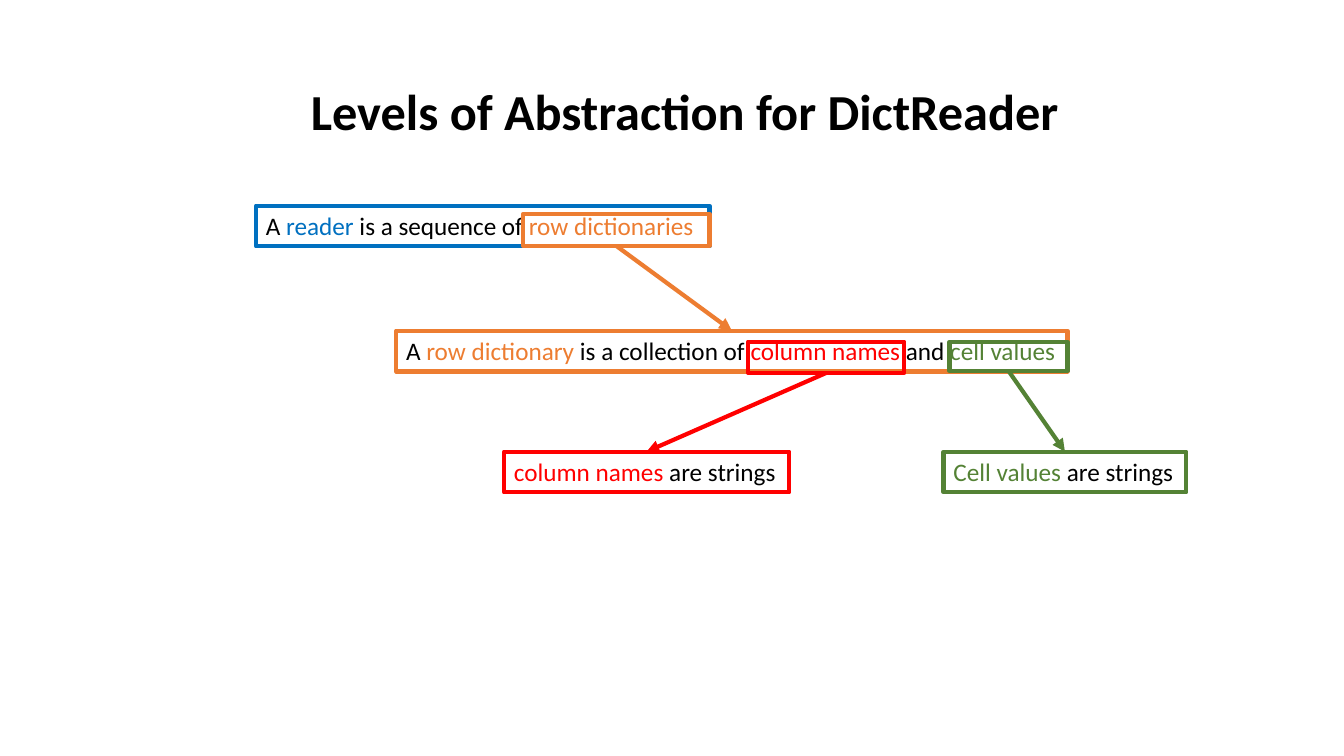
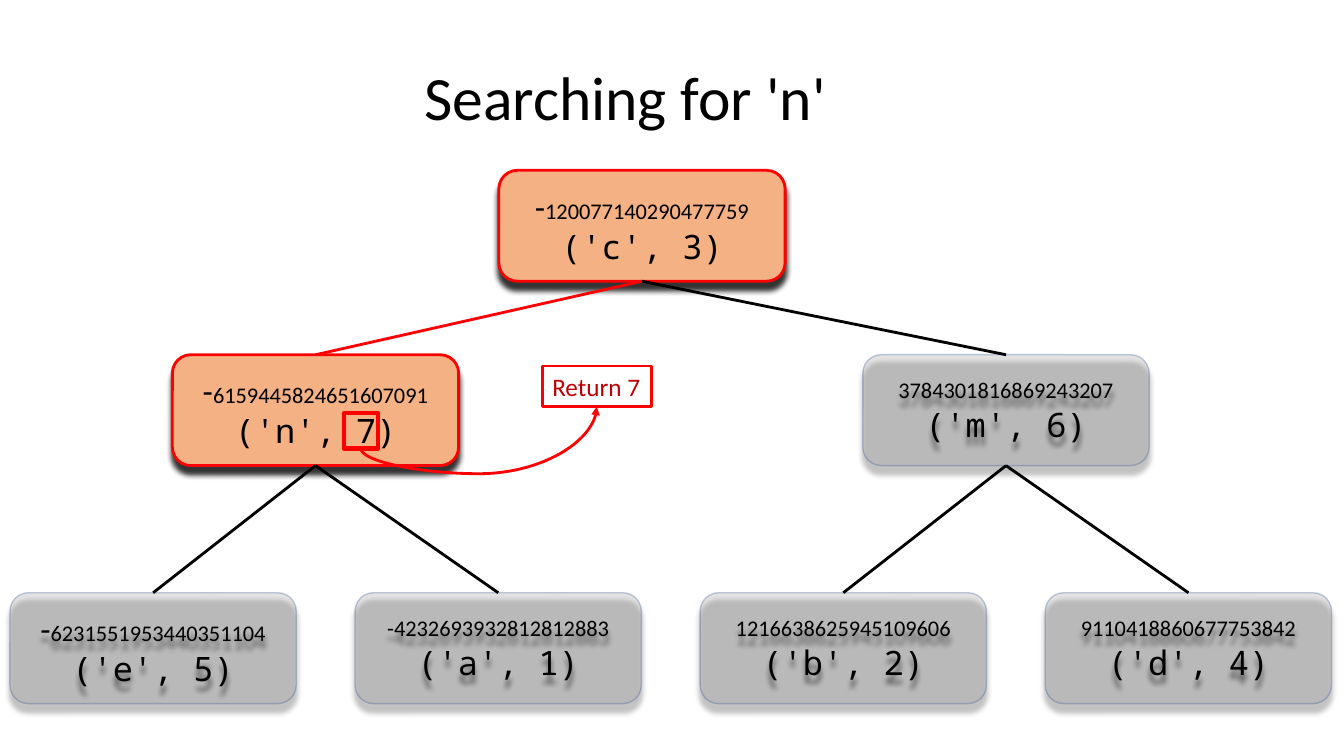
from lxml import etree
from pptx import Presentation
from pptx.dml.color import RGBColor
from pptx.enum.shapes import MSO_CONNECTOR, MSO_SHAPE
from pptx.enum.text import MSO_ANCHOR, MSO_AUTO_SIZE, PP_ALIGN
from pptx.oxml.ns import qn
from pptx.util import Pt

STRAIGHT, CURVE = MSO_CONNECTOR.STRAIGHT, MSO_CONNECTOR.CURVE
RECTANGLE, ROUNDED = MSO_SHAPE.RECTANGLE, MSO_SHAPE.ROUNDED_RECTANGLE
LEFT, CENTER = PP_ALIGN.LEFT, PP_ALIGN.CENTER
MIDDLE, GROW = MSO_ANCHOR.MIDDLE, MSO_AUTO_SIZE.SHAPE_TO_FIT_TEXT
TOP_SITE, BOTTOM_SITE = 0, 2

COLORS = {
    "black": "000000", "blue": "0070C0", "orange": "ED7D31",
    "red": "FF0000", "dark red": "C00000", "green": "548235",
    "peach": "F4B183", "gray": "A5A5A5", "navy": "325491",
}
BODY_FONT, CODE_FONT = "Calibri", "Noto Sans Mono"
LABEL_HEIGHT = 29.1
NODE_WIDTH, NODE_HEIGHT = 204.5, 79.2


def rgb(name):
    return RGBColor.from_string(COLORS[name])


def add_child(parent, tag, **attributes):
    child = etree.SubElement(parent, qn(tag))
    for name, value in attributes.items():
        child.set(name, str(value))
    return child


def add_run(paragraph, text, size=18, color="black", font=BODY_FONT, bold=False):
    run = paragraph.add_run()
    run.text = text
    run.font.size, run.font.name, run.font.bold = Pt(size), font, bold
    run.font.color.rgb = rgb(color)


def set_line(item, color, width):
    item.line.color.rgb = rgb(color)
    item.line.width = Pt(width)


def set_opacity(shape, percent):
    """Make the fill and outline of a shape translucent."""
    for color in shape._element.spPr.iter(qn("a:srgbClr")):
        add_child(color, "a:alpha", val=percent * 1000)


def add_label(slide, box, runs, align=LEFT, outline=None, width=3):
    """Single-line text; runs holds (text, format) pairs."""
    shape = slide.shapes.add_textbox(*map(Pt, box))
    frame = shape.text_frame
    frame.word_wrap, frame.auto_size = False, GROW
    frame.paragraphs[0].alignment = align
    for text, style in runs:
        add_run(frame.paragraphs[0], text, **style)
    if outline:
        set_line(shape, outline, width)
    return shape


def add_highlight(slide, owner, offset, size, color):
    """Frame around part of the text of its owner."""
    left, top = owner.left + Pt(offset[0]), owner.top + Pt(offset[1])
    shape = slide.shapes.add_shape(RECTANGLE, left, top, *map(Pt, size))
    shape.shadow.inherit = False
    shape.fill.background()
    set_line(shape, color, 3)
    return shape


def style_connector(connector, color, width, arrow):
    set_line(connector, color, width)
    if arrow:
        add_child(connector.line._get_or_add_ln(), "a:tailEnd", type="triangle")
    add_child(connector._element.spPr, "a:effectLst")


def join(slide, upper, lower, color, width, arrow=False):
    connector = slide.shapes.add_connector(STRAIGHT, 0, 0, 0, 0)
    connector.begin_connect(upper, BOTTOM_SITE)
    connector.end_connect(lower, TOP_SITE)
    style_connector(connector, color, width, arrow)


def add_swoop(slide, source, target, sag, color):
    """Curved arrow that dips below both bottom edges."""
    start_x, end_x = (s.left + s.width // 2 for s in (source, target))
    start_y, end_y = (s.top + s.height for s in (source, target))
    middle_x, middle_y = (start_x + end_x) // 2, (start_y + end_y) // 2
    rise, run = start_y - end_y, end_x - start_x
    connector = slide.shapes.add_connector(
        CURVE, middle_x + rise // 2, middle_y + run // 2,
        middle_x - rise // 2, middle_y - run // 2)
    properties = connector._element.spPr
    properties.find(qn("a:xfrm")).set("rot", str(90 * 60000))
    geometry = properties.find(qn("a:prstGeom"))
    guides = geometry.find(qn("a:avLst"))
    if guides is None:
        guides = add_child(geometry, "a:avLst")
    bend = round(-Pt(sag) / rise * 100000)
    add_child(guides, "a:gd", name="adj1", fmla=f"val {bend}")
    style_connector(connector, color, 2, True)


def add_node(slide, center_x, top, number, pair, visited=False, big_minus=False):
    """Tree node: hash value above its key and value."""
    shape = slide.shapes.add_shape(
        ROUNDED, Pt(center_x - NODE_WIDTH / 2), Pt(top),
        Pt(NODE_WIDTH), Pt(NODE_HEIGHT))
    shape.fill.solid()
    shape.fill.fore_color.rgb = rgb("peach" if visited else "gray")
    set_line(shape, "red" if visited else "navy", 2 if visited else 1)
    if not visited:
        set_opacity(shape, 30)
    # Shadow straight below
    shape.shadow.inherit = False
    effects = shape._element.spPr.find(qn("a:effectLst"))
    shadow = add_child(effects, "a:outerShdw", blurRad=Pt(4), dist=Pt(6),
                       dir=90 * 60000, algn="ctr", rotWithShape=0)
    add_child(add_child(shadow, "a:srgbClr", val=COLORS["black"]),
              "a:alpha", val=80000)
    # Text
    frame = shape.text_frame
    frame.word_wrap, frame.vertical_anchor = True, MIDDLE
    hash_line, pair_line = frame.paragraphs[0], frame.add_paragraph()
    hash_line.alignment = pair_line.alignment = CENTER
    if big_minus:
        add_run(hash_line, "-", size=24)
    add_run(hash_line, number, size=16)
    add_run(pair_line, pair, size=24, font=CODE_FONT)
    return shape


def build_abstraction_slide(slide):
    add_label(slide, (211.7, 54, 555.1, 51.1),
              [("Levels of Abstraction for DictReader", {"size": 36, "bold": True})],
              align=CENTER)

    def statement(left, top, width, outline, *runs):
        return add_label(slide, (left, top, width, LABEL_HEIGHT),
                         [(text, {"color": color}) for text, color in runs],
                         outline=outline)

    # Statements, one level below the other
    row = statement(283, 236.2, 479.5, "orange",
                    ("A ", "black"), ("row dictionary", "orange"),
                    (" is a collection of ", "black"), ("column names ", "red"),
                    ("and ", "black"), ("cell values", "green"))
    column = statement(360, 322.6, 203.8, "red",
                       ("column names", "red"), (" are strings", "black"))
    cell = statement(673.9, 322.6, 173.5, "green",
                     ("Cell values ", "green"), ("are strings", "black"))
    reader = statement(182.9, 146.9, 324, "blue",
                       ("A ", "black"), ("reader", "blue"),
                       (" is a sequence of ", "black"), ("row dictionaries", "orange"))

    # Terms and the statements that explain them
    for owner, offset, size, color, target in (
            (row, (251.3, 7.9), (111.6, 22.3), "red", column),
            (row, (395.3, 7.9), (84.2, 20.9), "green", cell),
            (reader, (190.8, 5.8), (133.2, 23), "orange", row)):
        term = add_highlight(slide, owner, offset, size, color)
        join(slide, term, target, color, 3, arrow=True)


def build_search_slide(slide):
    # Tree nodes by level
    root = add_node(slide, 458.6, 121.7, "120077140290477759", "('c', 3)",
                    visited=True, big_minus=True)
    found = add_node(slide, 225.4, 253.4, "6159445824651607091", "('n', 7)",
                     visited=True, big_minus=True)
    right = add_node(slide, 718.6, 253.4, "3784301816869243207", "('m', 6)")
    leaf_texts = (("6231551953440351104", "('e', 5)", True),
                  ("-4232693932812812883", "('a', 1)", False),
                  ("1216638625945109606", "('b', 2)", False),
                  ("9110418860677753842", "('d', 4)", False))
    leaves = [add_node(slide, 109.4 + 246.5 * index, 423.4, number, pair,
                       big_minus=big_minus)
              for index, (number, pair, big_minus) in enumerate(leaf_texts)]

    # Branches
    join(slide, root, found, "red", 2)
    join(slide, root, right, "black", 2)
    for index, leaf in enumerate(leaves):
        join(slide, (found, right)[index // 2], leaf, "black", 2)

    add_label(slide, (295.9, 38.2, 324.7, 60.5), [("Searching for 'n'", {"size": 44})])

    # Returned value
    value = add_highlight(slide, found, (122.4, 41.8), (24.5, 25.2), "red")
    result = add_label(slide, (387.4, 261.4, 77.8, LABEL_HEIGHT),
                       [("Return 7", {"color": "dark red"})], outline="red", width=2)
    add_swoop(slide, value, result, 18, "red")


def main():
    presentation = Presentation()
    presentation.slide_width, presentation.slide_height = Pt(960), Pt(540)
    blank = presentation.slide_layouts[6]
    for build in (build_abstraction_slide, build_search_slide):
        build(presentation.slides.add_slide(blank))
    presentation.save("out.pptx")


if __name__ == "__main__":
    main()
